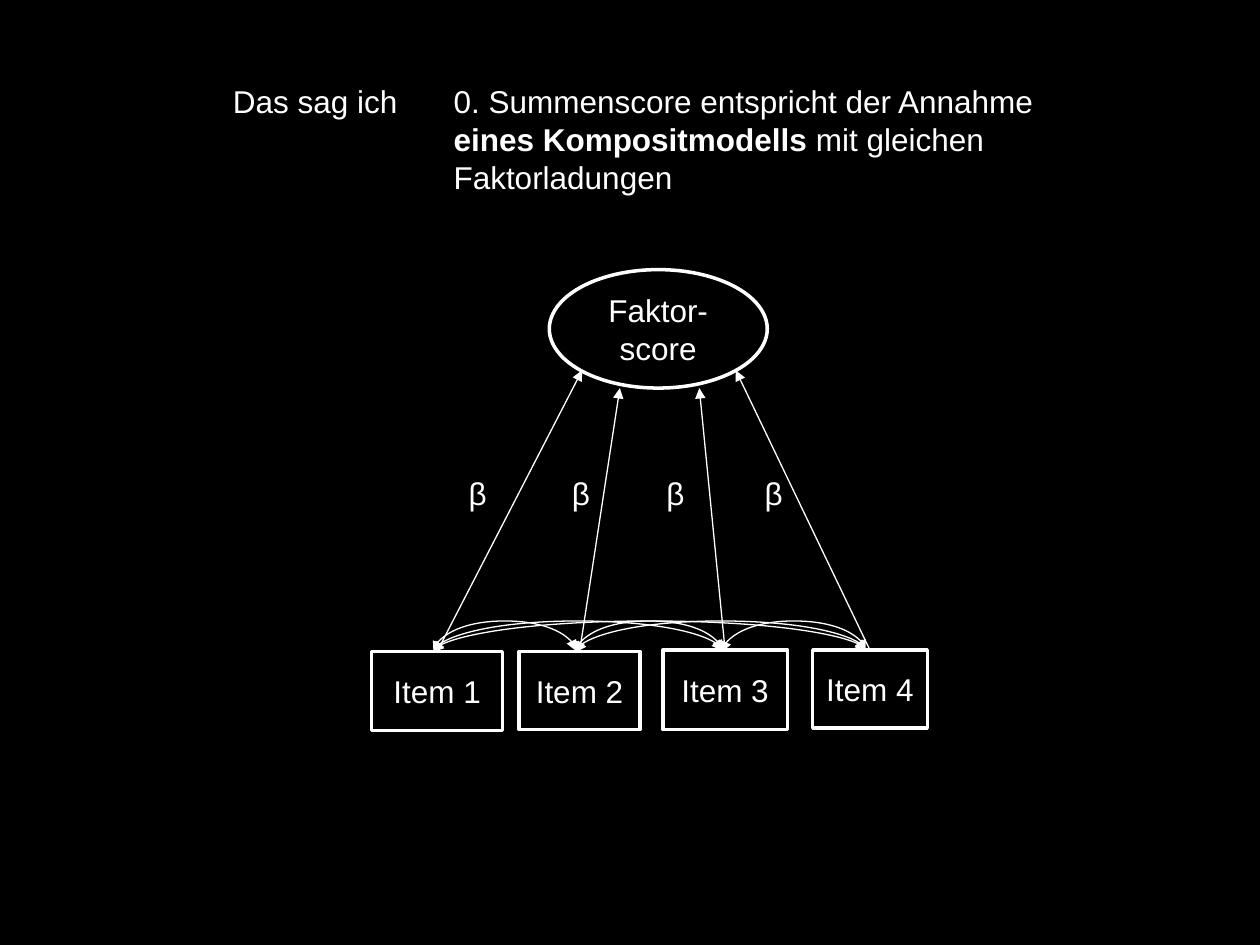
from itertools import combinations
from lxml import etree
from pptx import Presentation
from pptx.dml.color import RGBColor
from pptx.enum.shapes import MSO_CONNECTOR, MSO_SHAPE
from pptx.enum.text import MSO_ANCHOR, PP_ALIGN
from pptx.oxml.ns import qn
from pptx.util import Inches, Pt

LINE, CURVE = MSO_CONNECTOR.STRAIGHT, MSO_CONNECTOR.CURVE
RECT, OVAL = MSO_SHAPE.RECTANGLE, MSO_SHAPE.OVAL
TOP, MID = MSO_ANCHOR.TOP, MSO_ANCHOR.MIDDLE
LEFT, MIDST = PP_ALIGN.LEFT, PP_ALIGN.CENTER
COLORS = {"back": "000000", "ink": "FFFFFF"}
INK = RGBColor.from_string(COLORS["ink"])


def write(shape, runs, align=LEFT, anchor=TOP):
    frame = shape.text_frame
    frame.word_wrap = True
    frame.vertical_anchor = anchor
    para = frame.paragraphs[0]
    para.alignment = align
    for text, bold in runs:
        run = para.add_run()
        run.text = text
        run.font.name = "Arial"
        run.font.size = Pt(18)
        run.font.bold = bold
        run.font.color.rgb = INK


def link(kind, x1, y1, x2, y2, ends):
    line = slide.shapes.add_connector(kind, Inches(x1), Inches(y1), Inches(x2), Inches(y2))
    line.line.color.rgb = INK
    line.line.width = Pt(0.75)
    for end in ends:
        etree.SubElement(line.line._get_or_add_ln(), qn("a:" + end), type="triangle")
    etree.SubElement(line._element.spPr, qn("a:effectLst"))
    return line


prs = Presentation()
prs.slide_width, prs.slide_height = Inches(10), Inches(7.5)
slide = prs.slides.add_slide(prs.slide_layouts[5])
slide.background.fill.solid()
slide.background.fill.fore_color.rgb = RGBColor.from_string(COLORS["back"])

title = slide.shapes.title
title.left, title.top = Inches(3.5), Inches(0.6)
title.width, title.height = Inches(5.33), Inches(1.01)
write(title, [("0. Summenscore entspricht der Annahme ", False),
              ("eines Kompositmodells ", True),
              ("mit gleichen Faktorladungen", False)])

notes = [("Das sag ich", 1.75, 0.6, 1.72)]
notes += [("β", x, 3.71, 0.78) for x in (3.62, 4.44, 5.19, 5.97)]
for text, x, y, w in notes:
    box = slide.shapes.add_textbox(Inches(x), Inches(y), Inches(w), Inches(0.4))
    write(box, [(text, False)])

nodes = [
    ("Item 1", RECT, 2.95, 5.17, 1.04, 0.63),
    ("Item 2", RECT, 4.12, 5.17, 0.96, 0.62),
    ("Item 3", RECT, 5.26, 5.16, 0.99, 0.63),
    ("Item 4", RECT, 6.45, 5.16, 0.91, 0.62),
    ("Faktor-score", OVAL, 4.36, 2.14, 1.73, 0.94),
]
boxes = []
for text, kind, x, y, w, h in nodes:
    node = slide.shapes.add_shape(kind, Inches(x), Inches(y), Inches(w), Inches(h))
    node.shadow.inherit = False
    node.fill.background()
    node.line.color.rgb = INK
    node.line.width = Pt(2)
    write(node, [(text, False)], MIDST, MID)
    boxes.append(node)

tips = [(4.62, 2.94), (4.92, 3.08), (5.55, 3.08), (5.84, 2.94)]
for box, (x, y) in zip(boxes, tips):
    load = link(LINE, x, 5.17, x, y, ["tailEnd"])
    load.begin_connect(box, 0)

base, thin, rise = 5.17, 0.01, 0.25
for a, b in combinations([3.44, 4.57, 5.73, 6.87], 2):
    mid, half = (a + b) / 2, (b - a) / 2
    arc = link(CURVE, mid + thin / 2, base + half, mid - thin / 2, base - half,
               ["headEnd", "tailEnd"])
    arc._element.spPr.find(qn("a:xfrm")).set("rot", "5400000")
    geom = arc._element.spPr.find(qn("a:prstGeom"))
    guides = geom.find(qn("a:avLst"))
    if guides is None:
        guides = etree.SubElement(geom, qn("a:avLst"))
    bend = round(rise / thin * 100000)
    etree.SubElement(guides, qn("a:gd"), name="adj1", fmla=f"val {bend}")

prs.save("out.pptx")
